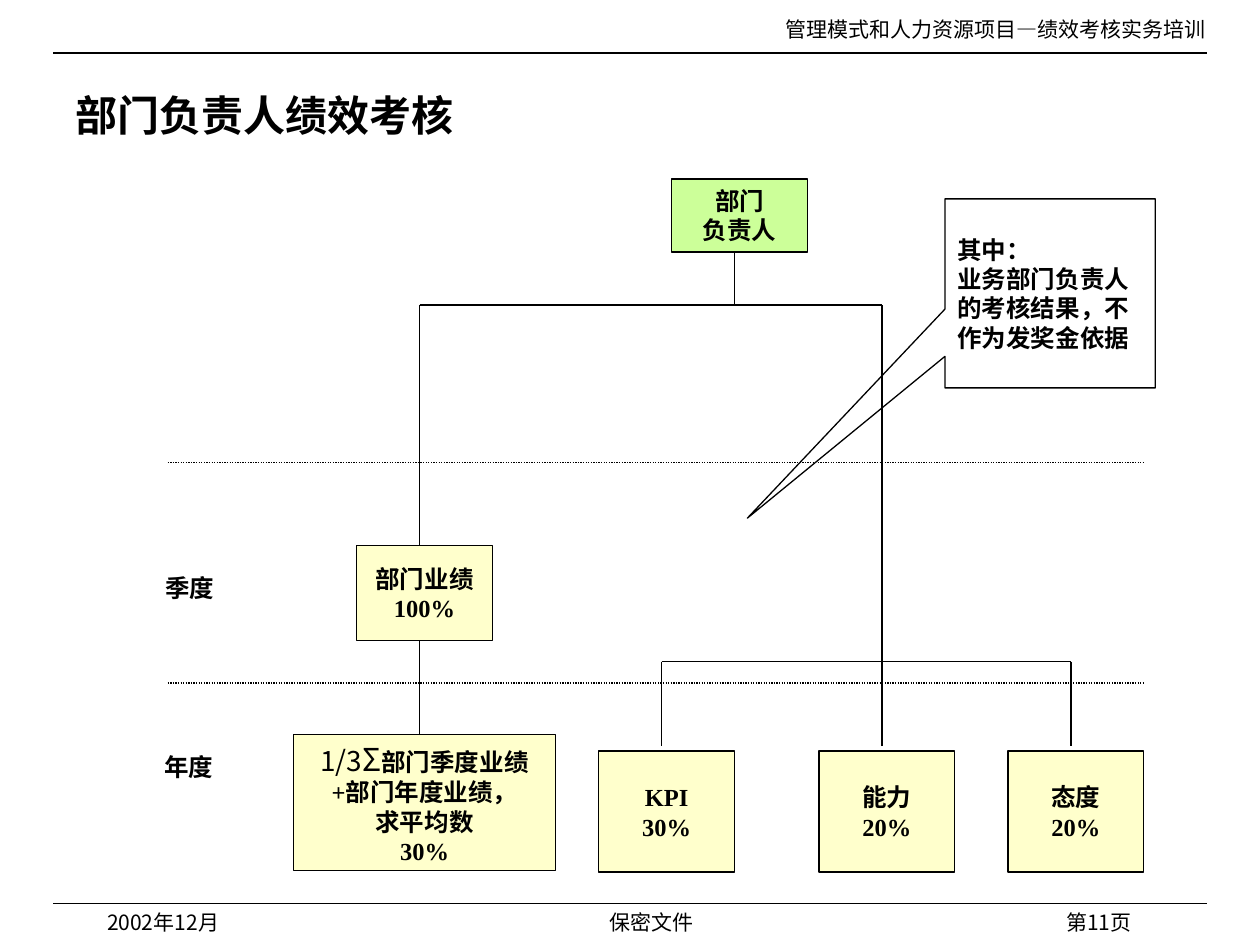
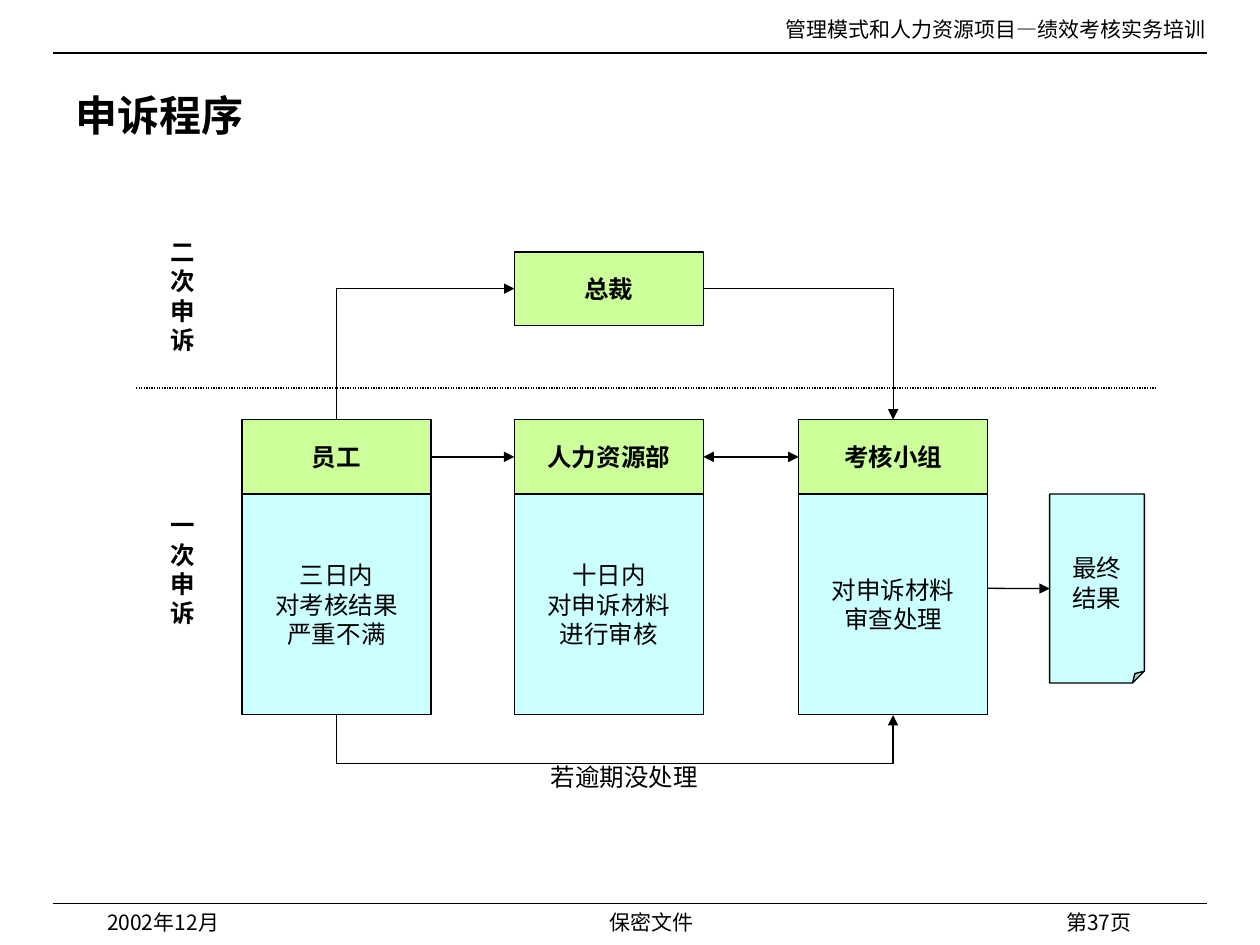
import pptx
import pptx.dml.color
import pptx.enum.dml
import pptx.enum.shapes
import pptx.enum.text
import pptx.oxml
import pptx.oxml.ns
import pptx.util
from lxml import etree

Cm, Pt, qn = pptx.util.Cm, pptx.util.Pt, pptx.oxml.ns.qn
SHAPE = pptx.enum.shapes.MSO_SHAPE
CONNECTOR = pptx.enum.shapes.MSO_CONNECTOR
ALIGN = pptx.enum.text.PP_ALIGN
ANCHOR = pptx.enum.text.MSO_ANCHOR

BLACK, GREEN, YELLOW, CYAN = "000000", "CCFF99", "FFFFCC", "CCFFFF"
SERIF, SANS = "Times New Roman", "Noto Sans CJK SC"
TOP, LEFT, BOTTOM, RIGHT = range(4)  # connection sites
DRAWING_SCALE = 100000  # units of one whole in a shape guide


def rgb(hex_colour):
    return pptx.dml.color.RGBColor.from_string(hex_colour)


def set_guides(shape, guides):
    """Set the adjustment guides of a preset shape or connector by name."""
    values = shape._element.spPr.find(qn("a:prstGeom")).find(qn("a:avLst"))
    for old in list(values):
        values.remove(old)
    for name, value in guides.items():
        guide = etree.SubElement(values, qn("a:gd"))
        guide.set("name", name)
        guide.set("fmla", f"val {round(value * DRAWING_SCALE)}")


def write(frame, paragraphs, align=ALIGN.LEFT, anchor=ANCHOR.TOP, **base):
    """Fill a text frame; a paragraph is a string or a list of (text, format) runs."""
    frame.word_wrap = True
    frame.auto_size = pptx.enum.text.MSO_AUTO_SIZE.NONE
    frame.vertical_anchor = anchor
    for number, content in enumerate(paragraphs):
        paragraph = frame.add_paragraph() if number else frame.paragraphs[0]
        paragraph.alignment = align
        runs = [(content, {})] if isinstance(content, str) else content
        for text, changes in runs:
            look = {"size": 14, "bold": False, "font": SERIF, **base, **changes}
            run = paragraph.add_run()
            run.text = text
            run.font.size = Pt(look["size"])
            run.font.bold = look["bold"]
            run.font.color.rgb = rgb(BLACK)
            run.font.name = look["font"]
            east_asian = etree.SubElement(run.font._element, qn("a:ea"))
            east_asian.set("typeface", SANS)


class Deck:
    line_width = 0.75

    def __init__(self):
        self.show = pptx.Presentation()
        self.show.slide_width, self.show.slide_height = Cm(25.4), Cm(19.05)
        self.slide = None

    def new_slide(self, title, page):
        self.slide = self.show.slides.add_slide(self.show.slide_layouts[5])
        heading = self.slide.shapes.title
        heading.left, heading.top = Cm(1.27), Cm(1.47)
        heading.width, heading.height = Cm(22.66), Cm(1.7)
        write(heading.text_frame, [title], anchor=ANCHOR.MIDDLE, size=24, bold=True)
        # Header and footer
        for rule_y in (1.07, 18.21):
            self.line(1.07, rule_y, 24.33, rule_y)
        self.text("管理模式和人力资源项目—绩效考核实务培训", 12.7, 0.2, 11.86, 0.76,
                  align=ALIGN.RIGHT, size=12)
        for words, x, width, align in (
            ("2002年12月", 1.91, 5.28, ALIGN.LEFT),
            ("保密文件", 7.42, 11.43, ALIGN.CENTER),
            (f"第{page}页", 17.78, 5.28, ALIGN.RIGHT),
        ):
            self.text(words, x, 18.21, width, 0.64, align=align, size=12, font=SANS)

    def text(self, words, x, y, width, height, **look):
        box = self.slide.shapes.add_textbox(Cm(x), Cm(y), Cm(width), Cm(height))
        write(box.text_frame, [words], **look)

    def box(self, paragraphs, x, y, width, height, fill=None, kind=SHAPE.RECTANGLE,
            guides=None, **look):
        shape = self.slide.shapes.add_shape(kind, Cm(x), Cm(y), Cm(width), Cm(height))
        shape.shadow.inherit = False
        if guides:
            set_guides(shape, guides)
        if fill:
            shape.fill.solid()
            shape.fill.fore_color.rgb = rgb(fill)
        else:
            shape.fill.background()
        self.outline(shape.line)
        write(shape.text_frame, paragraphs,
              **{"align": ALIGN.CENTER, "anchor": ANCHOR.MIDDLE, "bold": True, **look})
        return shape

    def outline(self, line):
        line.color.rgb = rgb(BLACK)
        line.width = Pt(self.line_width)

    def line(self, x1=0, y1=0, x2=0, y2=0, begin=None, end=None, dotted=False,
             arrows=(), kind=CONNECTOR.STRAIGHT):
        """Draw a line; begin and end are (shape, site) pairs, arrows are head/tail."""
        link = self.slide.shapes.add_connector(kind, Cm(x1), Cm(y1), Cm(x2), Cm(y2))
        if begin:
            link.begin_connect(*begin)
        if end:
            link.end_connect(*end)
        self.outline(link.line)
        if dotted:
            link.line.dash_style = pptx.enum.dml.MSO_LINE.ROUND_DOT
        for tip in arrows:
            etree.SubElement(link.line._ln, qn(f"a:{tip}End")).set("type", "triangle")
        etree.SubElement(link._element.spPr, qn("a:effectLst"))
        return link

    def elbow(self, begin, end, preset, turn=0, flips=(), drop=None):
        """Draw a bent arrow; drop is how far a U-shaped one reaches out."""
        link = self.line(begin=begin, end=end, arrows=["tail"], kind=CONNECTOR.ELBOW)
        middle_x = (link.begin_x + link.end_x) // 2
        middle_y = (link.begin_y + link.end_y) // 2
        width, height = link.width, link.height
        if turn:
            width, height = max(height, Cm(0.01)), width
        link.left, link.top = middle_x - width // 2, middle_y - height // 2
        link.width, link.height = width, height
        frame = link._element.spPr.find(qn("a:xfrm"))
        for flip in ("flipH", "flipV"):
            frame.set(flip, str(int(flip in flips)))
        frame.set("rot", str(turn * 60000))
        link._element.spPr.find(qn("a:prstGeom")).set("prst", preset)
        if drop:
            set_guides(link, {"adj1": Cm(drop) / width})


def department_head_review(deck):
    deck.new_slide("部门负责人绩效考核", 11)
    performance_x, ability_x = 8.46, 17.78
    deck.line(performance_x, 6.15, performance_x, 14.81)

    # Person reviewed and quarterly and yearly measures
    deck.box(["部门", "负责人"], 13.54, 3.61, 2.74, 1.47, GREEN)
    deck.text("季度", 2.34, 11.43, 2.97, 0.86, align=ALIGN.CENTER, bold=True)
    deck.text("年度", 2.64, 15.04, 2.34, 0.86, align=ALIGN.CENTER, bold=True)
    deck.box(["部门业绩", "100%"], 7.19, 11, 2.74, 1.91, YELLOW)
    plain = {"font": SANS, "bold": False}
    average = [("1/3", {**plain, "size": 16}), ("Σ", {**plain, "size": 18}),
               ("部门季度业绩", {})]
    deck.box([average, "+部门年度业绩，", "求平均数", "30%"],
             5.92, 14.81, 5.28, 2.74, YELLOW)
    for measure, share, x in (("KPI", "30%", 12.07), ("能力", "20%", 16.51),
                              ("态度", "20%", 20.32)):
        deck.box([measure, share], x, 15.14, 2.74, 2.44, YELLOW)

    # Period dividers
    for divider_y in (9.32, 13.77):
        deck.line(3.38, divider_y, 23.06, divider_y, dotted=True)

    # Branches of the tree
    deck.line(performance_x, 6.15, ability_x, 6.15)
    deck.line(ability_x, 15.04, ability_x, 6.15)
    deck.line(14.81, 5.08, 14.81, 6.15)
    for branch_x in (13.34, 21.59):
        deck.line(branch_x, 13.34, branch_x, 15.04)
    deck.line(13.34, 13.34, 21.59, 13.34)

    # Remark
    deck.box(["其中：", "业务部门负责人的考核结果，不作为发奖金依据"],
             19.05, 4.01, 4.24, 3.81, kind=SHAPE.RECTANGULAR_CALLOUT,
             guides={"adj1": -1.44, "adj2": 1.19}, align=ALIGN.LEFT)


def appeal_procedure(deck):
    deck.new_slide("申诉程序", 37)

    # Parties: a heading above a duty
    heads, duties = [], []
    for party, duty, x in (
        ("员工", ["三日内", "对考核结果", "严重不满"], 4.88),
        ("人力资源部", ["十日内", "对申诉材料", "进行审核"], 10.37),
        ("考核小组", ["对申诉材料", "审查处理"], 16.1),
    ):
        duties.append(deck.box(duty, x, 9.96, 3.81, 4.45, CYAN, font=SANS, bold=False))
        heads.append(deck.box([party], x, 8.46, 3.81, 1.5, GREEN))
    employee, personnel, panel = heads
    president = deck.box(["总裁"], 10.37, 5.08, 3.81, 1.48, GREEN)

    # Routes of an appeal
    deck.elbow((duties[0], BOTTOM), (duties[2], BOTTOM), "bentConnector3",
               turn=270, flips=["flipH"], drop=0.99)
    deck.elbow((employee, TOP), (president, LEFT), "bentConnector2",
               turn=90, flips=["flipH", "flipV"])
    deck.elbow((president, RIGHT), (panel, TOP), "bentConnector2")
    deck.line(begin=(employee, RIGHT), end=(personnel, LEFT), arrows=["tail"])
    deck.line(begin=(personnel, RIGHT), end=(panel, LEFT), arrows=["head", "tail"])
    deck.line(2.74, 7.82, 23.29, 7.82, dotted=True)

    # Outcome
    outcome = deck.box(["最终", "结果"], 21.16, 9.96, 1.91, 3.81, CYAN,
                       kind=SHAPE.FOLDED_CORNER, guides={"adj": 0.125},
                       font=SANS, bold=False)
    deck.line(19.91, 11.86, 21.16, 11.86, end=(outcome, LEFT), arrows=["tail"])

    # Stage labels and overdue note
    for stage, y in (("二次申诉", 4.65), ("一次申诉", 10.16)):
        deck.text(stage, 3.18, y, 1.07, 2.64, bold=True)
    deck.text("若逾期没处理", 9.73, 15.24, 5.72, 0.86, align=ALIGN.CENTER)


def main():
    deck = Deck()
    department_head_review(deck)
    appeal_procedure(deck)
    deck.show.save("out.pptx")


if __name__ == "__main__":
    main()
